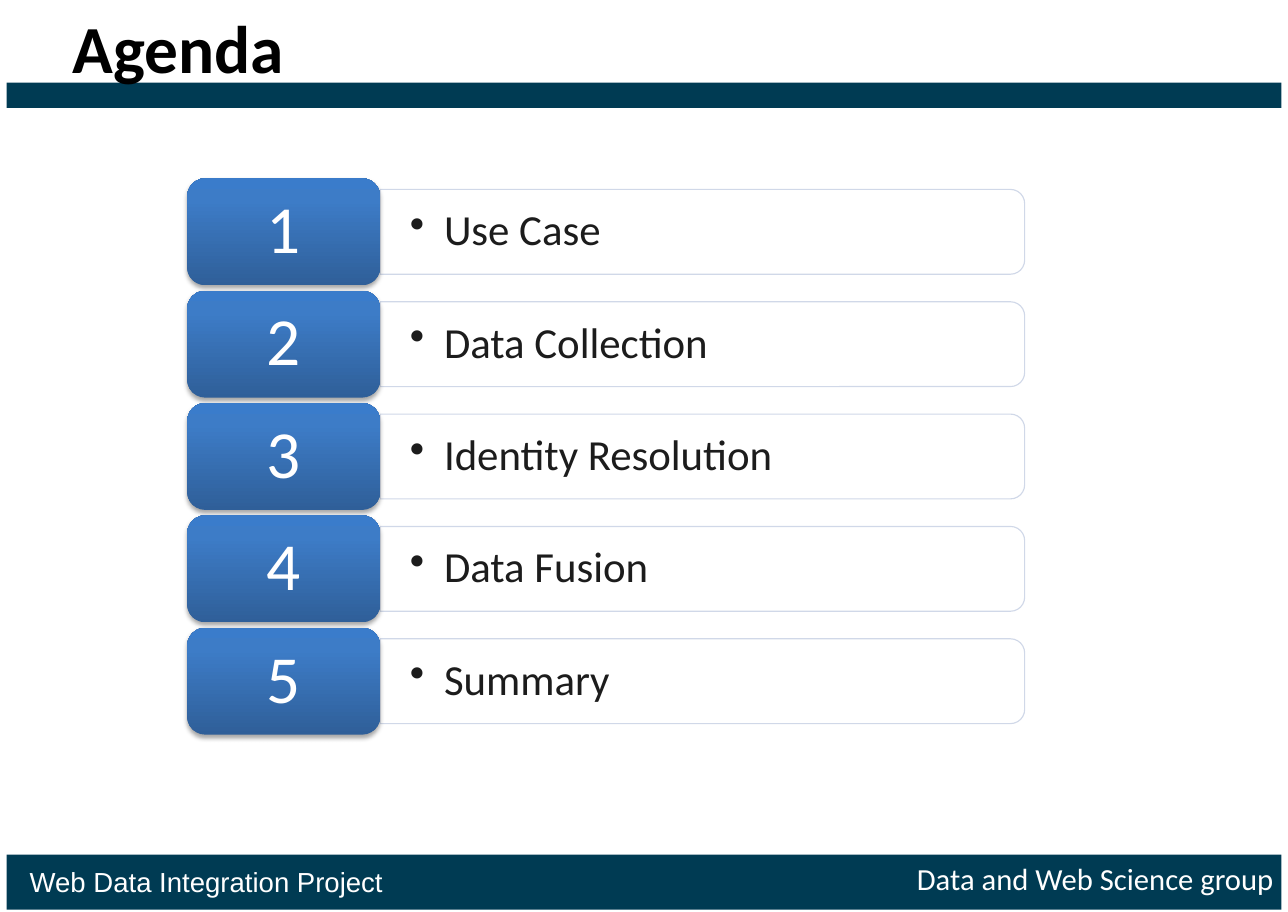
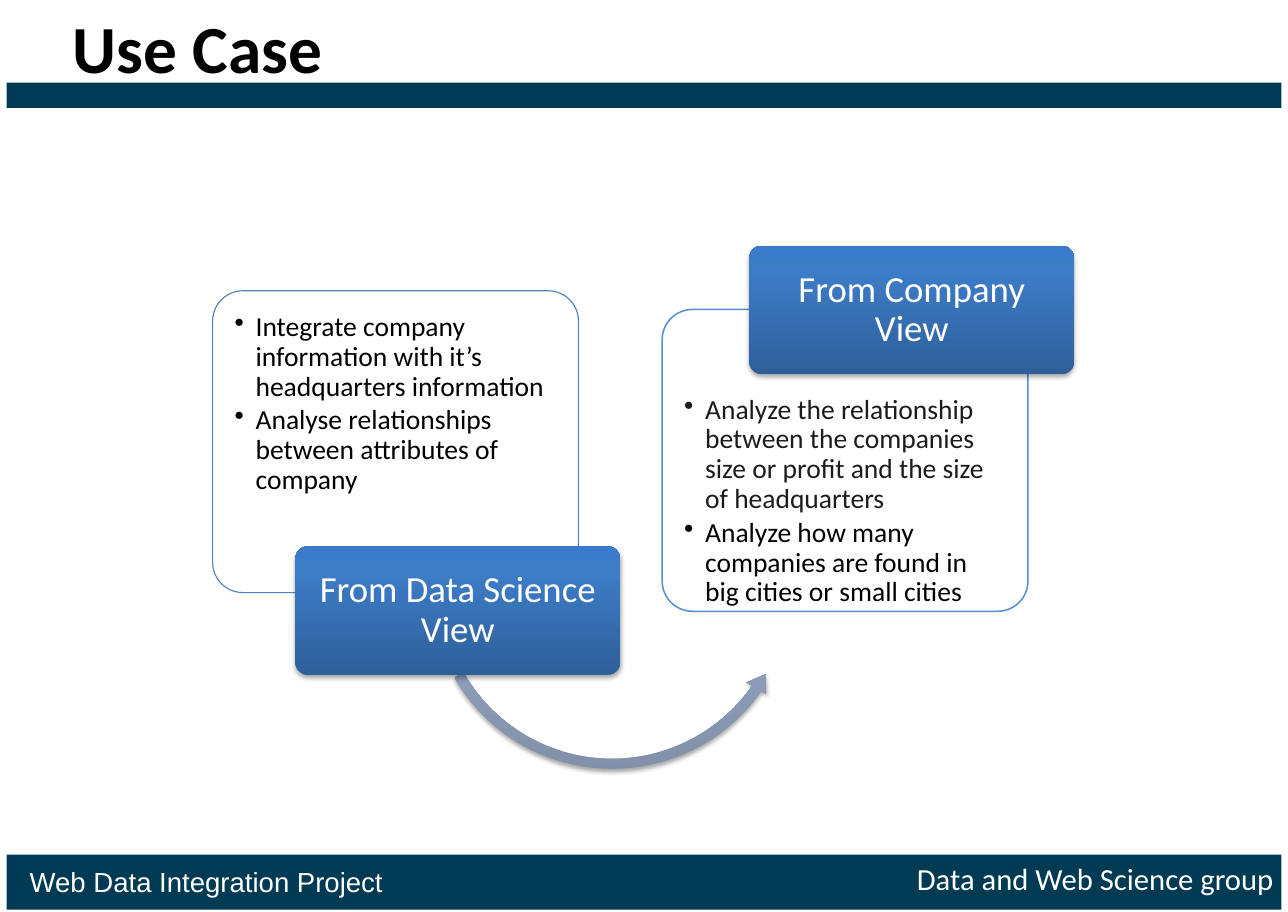
import copy
import lxml.etree
import pptx
import pptx.dml.color
import pptx.enum.shapes
import pptx.enum.text
import pptx.oxml.ns
import pptx.util

Inches, Pt, qn = pptx.util.Inches, pptx.util.Pt, pptx.oxml.ns.qn
SHAPE = pptx.enum.shapes.MSO_SHAPE
ALIGN = pptx.enum.text.PP_ALIGN
ANCHOR = pptx.enum.text.MSO_ANCHOR

# Content
AGENDA = ["Use Case", "Data Collection", "Identity Resolution", "Data Fusion", "Summary"]
FOOTER = ("Web Data Integration Project", "Data and Web Science group")
VIEWS = [
    {"caption": "From Data Science View", "panel_at": (1.93, 2.64), "caption_at": (2.68, 4.96),
     "edge": ("panel_edge", 0.75), "text_top": 0.12,
     "points": [("Integrate company information with it’s headquarters information", "black"),
                ("Analyse relationships between attributes of company", "black")]},
    {"caption": "From Company View", "panel_at": (6.01, 2.81), "caption_at": (6.8, 2.23),
     "edge": ("bright_edge", 1), "text_top": 0.7,
     "points": [("Analyze the relationship between the companies size or profit "
                 "and the size of headquarters", "ink"),
                ("Analyze how many companies are found in big cities or small cities", "black")]},
]

# Shared look
WIDTH, HEIGHT = 11.69, 8.28
COLOURS = {
    "band": "003B53", "white": "FFFFFF", "black": "000000", "ink": "1C1C1C",
    "bar_edge": "D0D8E8", "panel_edge": "4F81BD", "bright_edge": "558ED5",
    "blue_low": "2F5F99", "blue_mid": "3D7CC7", "blue_high": "3A7CCB",
    "grey_low": "818FA8", "grey_mid": "A7B9DA", "grey_high": "A7BADC",
}
BLUE = ("blue_low", "blue_mid", "blue_high")
GREY = ("grey_low", "grey_mid", "grey_high")
STOPS = (0, 0.8, 1)
BANDS = [(0.75, 0.23), (7.76, 0.5)]
BAND_MARGIN = 0.06
TITLE = {"size": Pt(44), "name": "Calibri", "bold": True}
NUMBER = {"size": Pt(44), "name": "Calibri"}
ITEM = {"size": Pt(28), "name": "Calibri"}
POINT = {"size": Pt(18), "name": "Calibri"}
CAPTION = {"size": Pt(24), "name": "Calibri"}
FOOTER_LEFT = {"size": Pt(18), "name": "Arial"}
FOOTER_RIGHT = {"size": Pt(20), "name": "Calibri"}

# Agenda grid and view sizes
ROW_TOP, ROW_STEP = 1.62, 1.02
CHIP_LEFT, CHIP_WIDTH, CHIP_HEIGHT = 1.7, 1.75, 0.97
BAR_WIDTH, BAR_HEIGHT = 5.85, 0.77
PANEL_SIZE, CAPTION_SIZE = (3.32, 2.74), (2.95, 1.17)
CORNER = 0.1
ARROW_BOX = (3.85, 3.63, 3.41, 3.41)
ARROW_CURVE = (0.027, 3.243, 20.911, 90.158, 0.031)


def rgb(colour):
    return pptx.dml.color.RGBColor.from_string(COLOURS[colour])


def assign(target, values):
    for attribute, value in values.items():
        setattr(target, attribute, value)


def write(holder, lines, font, insets=(0, 0, 0, 0), anchor=ANCHOR.TOP,
          align=ALIGN.LEFT, bullet=None, spacing=0.9):
    """Write (text, colour) lines; bullet is the hanging indent."""
    frame = holder.text_frame
    left, top, right, bottom = map(Inches, insets)
    assign(frame, {"word_wrap": True, "vertical_anchor": anchor, "margin_left": left,
                   "margin_top": top, "margin_right": right, "margin_bottom": bottom})
    for index, (text, colour) in enumerate(lines):
        paragraph = frame.paragraphs[0] if index == 0 else frame.add_paragraph()
        assign(paragraph, {"alignment": align, "line_spacing": spacing})
        if bullet:
            paragraph.space_after = Pt(2.7)
            properties = paragraph._p.get_or_add_pPr()
            properties.set("marL", str(Inches(bullet)))
            properties.set("indent", str(-Inches(bullet)))
            lxml.etree.SubElement(properties, qn("a:buChar")).set("char", "•")
        run = paragraph.add_run()
        run.text = text
        assign(run.font, font)
        run.font.color.rgb = rgb(colour)


def add_text(slide, box, *args, **options):
    write(slide.shapes.add_textbox(*map(Inches, box)), *args, **options)


def add_flat(slide, kind, box, fill, edge=None):
    shape = slide.shapes.add_shape(kind, *map(Inches, box))
    shape.shadow.inherit = False
    shape.fill.solid()
    shape.fill.fore_color.rgb = rgb(fill)
    if edge:
        colour, width = edge
        shape.line.color.rgb = rgb(colour)
        shape.line.width = Pt(width)
    else:
        shape.line.fill.background()
    return shape


def add_raised(slide, kind, box, shades):
    """A shape with a vertical gradient and a soft shadow beneath."""
    shape = add_flat(slide, kind, box, "white")
    shape.fill.gradient()
    shape.fill.gradient_angle = 90
    stop_list = shape._element.spPr.find(qn("a:gradFill")).find(qn("a:gsLst"))
    stop_list.append(copy.deepcopy(stop_list[0]))
    for stop, shade, position in zip(shape.fill.gradient_stops, shades, STOPS):
        stop.color.rgb = rgb(shade)
        stop.position = position
    effects = shape._element.spPr.find(qn("a:effectLst"))
    shadow = lxml.etree.SubElement(effects, qn("a:outerShdw"), blurRad=str(Pt(3.1)),
                                   dist=str(Pt(1.8)), dir="5400000", rotWithShape="0")
    tint = lxml.etree.SubElement(shadow, qn("a:srgbClr"), val=COLOURS["black"])
    lxml.etree.SubElement(tint, qn("a:alpha"), val="35000")
    return shape


def add_page(deck, title):
    slide = deck.slides.add_slide(deck.slide_layouts[6])
    for top, height in BANDS:
        add_flat(slide, SHAPE.RECTANGLE,
                 (BAND_MARGIN, top, WIDTH - 2 * BAND_MARGIN, height), "band")
    add_text(slide, (0.66, 0.14, 10.38, 0.47), [(title, "black")], TITLE)
    project, group = FOOTER
    add_text(slide, (0.27, 7.85, 5, 0.35), [(project, "white")], FOOTER_LEFT, spacing=1.0)
    add_text(slide, (6.56, 7.81, 5, 0.35), [(group, "white")], FOOTER_RIGHT,
             align=ALIGN.RIGHT, spacing=1.0)
    return slide


def build_agenda(deck):
    slide = add_page(deck, "Agenda")
    bar_left = CHIP_LEFT + CHIP_WIDTH
    for index, item in enumerate(AGENDA):
        top = ROW_TOP + index * ROW_STEP
        middle = top + CHIP_HEIGHT / 2
        # The bar is an upright shape turned a quarter, so its round end faces right
        bar = add_flat(slide, SHAPE.ROUND_2_SAME_RECTANGLE,
                       (bar_left + (BAR_WIDTH - BAR_HEIGHT) / 2, middle - BAR_WIDTH / 2,
                        BAR_HEIGHT, BAR_WIDTH), "white", ("bar_edge", 0.75))
        bar.rotation = 90
        add_text(slide, (bar_left, middle - BAR_HEIGHT / 2, BAR_WIDTH, BAR_HEIGHT),
                 [(item, "ink")], ITEM, insets=(0.27, 0.14, 0.27, 0.14),
                 anchor=ANCHOR.MIDDLE, bullet=0.31)
        chip = add_raised(slide, SHAPE.ROUNDED_RECTANGLE,
                          (CHIP_LEFT, top, CHIP_WIDTH, CHIP_HEIGHT), BLUE)
        write(chip, [(str(index + 1), "white")], NUMBER,
              anchor=ANCHOR.MIDDLE, align=ALIGN.CENTER)


def build_use_case(deck):
    slide = add_page(deck, "Use Case")
    for view in VIEWS:
        panel = add_flat(slide, SHAPE.ROUNDED_RECTANGLE, view["panel_at"] + PANEL_SIZE,
                         "white", view["edge"])
        panel.adjustments[0] = CORNER
        write(panel, view["points"], POINT, insets=(0.12, view["text_top"], 0.12, 0),
              bullet=0.19)
    # Curved arrow between the views, tucked under the first caption
    arrow = add_raised(slide, SHAPE.LEFT_CIRCULAR_ARROW, ARROW_BOX, GREY)
    for index, value in enumerate(ARROW_CURVE):
        arrow.adjustments[index] = value
    for view in VIEWS:
        caption = add_raised(slide, SHAPE.ROUNDED_RECTANGLE,
                             view["caption_at"] + CAPTION_SIZE, BLUE)
        caption.adjustments[0] = CORNER
        write(caption, [(view["caption"], "white")], CAPTION, insets=(0.05, 0.03, 0.05, 0.03),
              anchor=ANCHOR.MIDDLE, align=ALIGN.CENTER)


def main():
    deck = pptx.Presentation()
    assign(deck, {"slide_width": Inches(WIDTH), "slide_height": Inches(HEIGHT)})
    build_agenda(deck)
    build_use_case(deck)
    deck.save("out.pptx")


if __name__ == "__main__":
    main()
